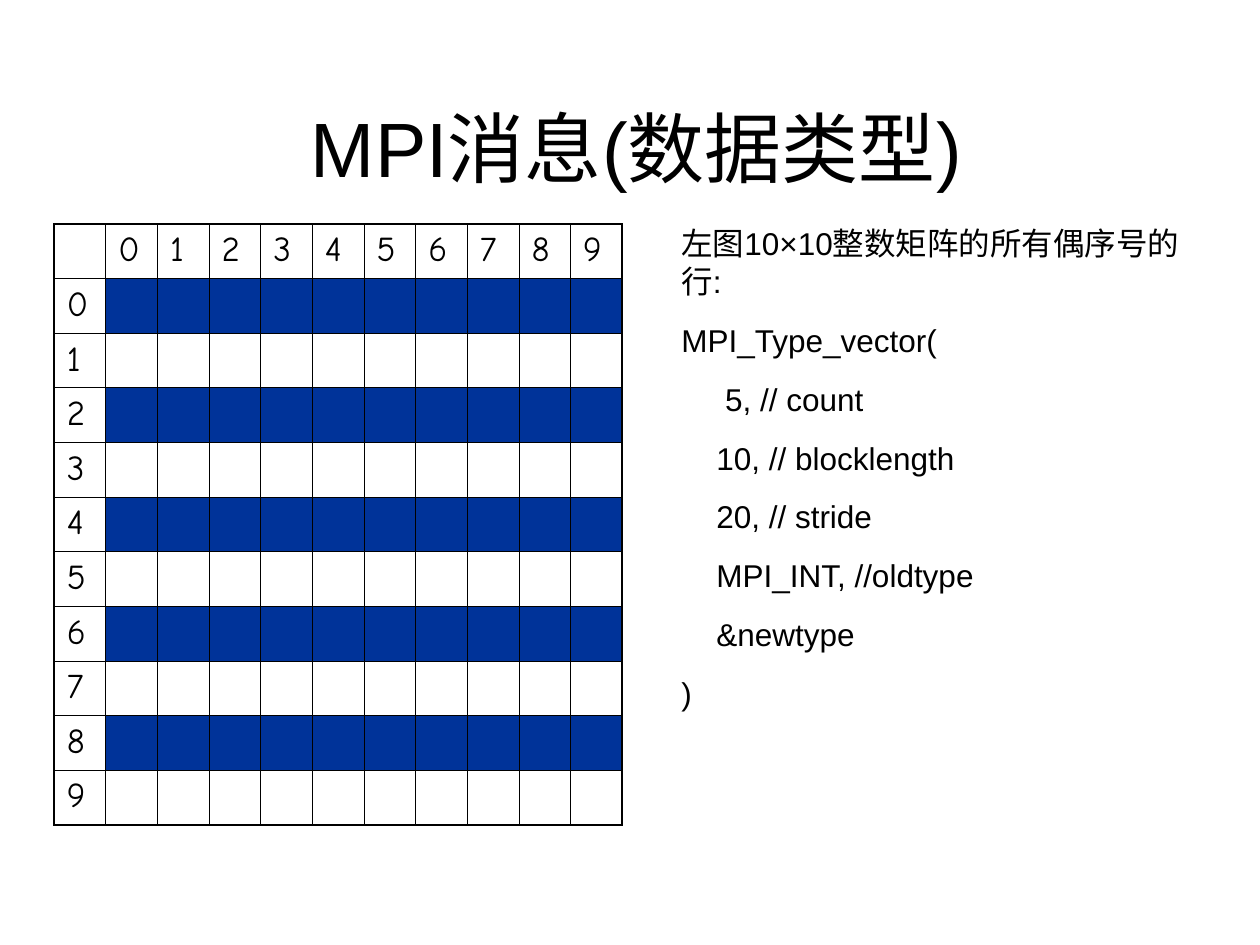
from dataclasses import dataclass

from lxml import etree
from pptx import Presentation
from pptx import util as u
from pptx.dml.color import RGBColor
from pptx.enum import text
from pptx.oxml import ns

WIDE, HIGH = 10, 7.5
SIDE = 11  # one heading row or column plus ten indices
BLACK, BLUE = "000000", "003399"
THIN, THICK = 0.45, 1.08
CODE = [
    "左图10×10整数矩阵的所有偶序号的行:",
    "MPI_Type_vector(",
    "     5, // count",
    "    10, // blocklength",
    "    20, // stride",
    "    MPI_INT, //oldtype",
    "    &newtype",
    ")",
]


@dataclass
class Box:
    """Place and size as shares of the slide."""
    x: float
    y: float
    w: float
    h: float

    def spans(self) -> list[int]:
        return [u.Inches(n) for n in (self.x * WIDE, self.y * HIGH,
                                      self.w * WIDE, self.h * HIGH)]


@dataclass
class Face:
    name: str
    size: float


HEAD, BODY, INDEX = Face("Arial", 44), Face("Arial", 18), Face("Comic Neue", 20)


def shade(code: str) -> RGBColor:
    return RGBColor.from_string(code)


def style(para, face: Face) -> None:
    for run in para.runs:
        run.font.name = face.name
        run.font.size = u.Pt(face.size)
        run.font.color.rgb = shade(BLACK)


def edge(cell, side: str, width: float) -> None:
    line = etree.SubElement(cell._tc.get_or_add_tcPr(), ns.qn(f"a:ln{side}"),
                            w=str(u.Pt(width)))
    fill = etree.SubElement(line, ns.qn("a:solidFill"))
    etree.SubElement(fill, ns.qn("a:srgbClr"), val=BLACK)


def draw_cell(cell, row: int, col: int) -> None:
    last = SIDE - 1
    outer = {"L": col == 0, "R": col == last, "T": row == 0, "B": row == last}
    for side, rim in outer.items():
        edge(cell, side, THICK if rim else THIN)
    # Even matrix rows are the ones the vector type selects
    if row and col and (row - 1) % 2 == 0:
        cell.fill.solid()
        cell.fill.fore_color.rgb = shade(BLUE)
    else:
        cell.fill.background()
    # Exactly one zero coordinate marks an index cell
    if (row == 0) != (col == 0):
        cell.text_frame.text = str(row + col - 1)
        style(cell.text_frame.paragraphs[0], INDEX)


def draw_grid(slide, box: Box) -> None:
    grid = slide.shapes.add_table(SIDE, SIDE, *box.spans()).table
    grid.first_row = grid.horz_banding = False
    for row in range(SIDE):
        for col in range(SIDE):
            draw_cell(grid.cell(row, col), row, col)


def draw_title(slide, words: str, box: Box) -> None:
    title = slide.shapes.title
    title.left, title.top, title.width, title.height = box.spans()
    frame = title.text_frame
    frame.text = words
    frame.vertical_anchor = text.MSO_ANCHOR.MIDDLE
    para = frame.paragraphs[0]
    para.alignment = text.PP_ALIGN.CENTER
    style(para, HEAD)


def draw_code(slide, lines: list[str], box: Box) -> None:
    frame = slide.shapes.add_textbox(*box.spans()).text_frame
    frame.word_wrap = True
    frame.auto_size = text.MSO_AUTO_SIZE.SHAPE_TO_FIT_TEXT
    frame.text = "\n".join(lines)
    for spot, para in enumerate(frame.paragraphs):
        para.space_before = u.Pt(12 if spot else 0)
        style(para, BODY)


def main() -> None:
    deck = Presentation()
    deck.slide_width, deck.slide_height = u.Inches(WIDE), u.Inches(HIGH)
    slide = deck.slides.add_slide(deck.slide_layouts[5])

    # Heading, matrix on the left, type definition on the right
    draw_title(slide, "MPI消息(数据类型)", Box(0.075, 0.1, 0.86, 0.11))
    draw_grid(slide, Box(0.043, 0.237, 0.451, 0.636))
    draw_code(slide, CODE, Box(0.531, 0.231, 0.417, 0.52))

    deck.save("out.pptx")


if __name__ == "__main__":
    main()
